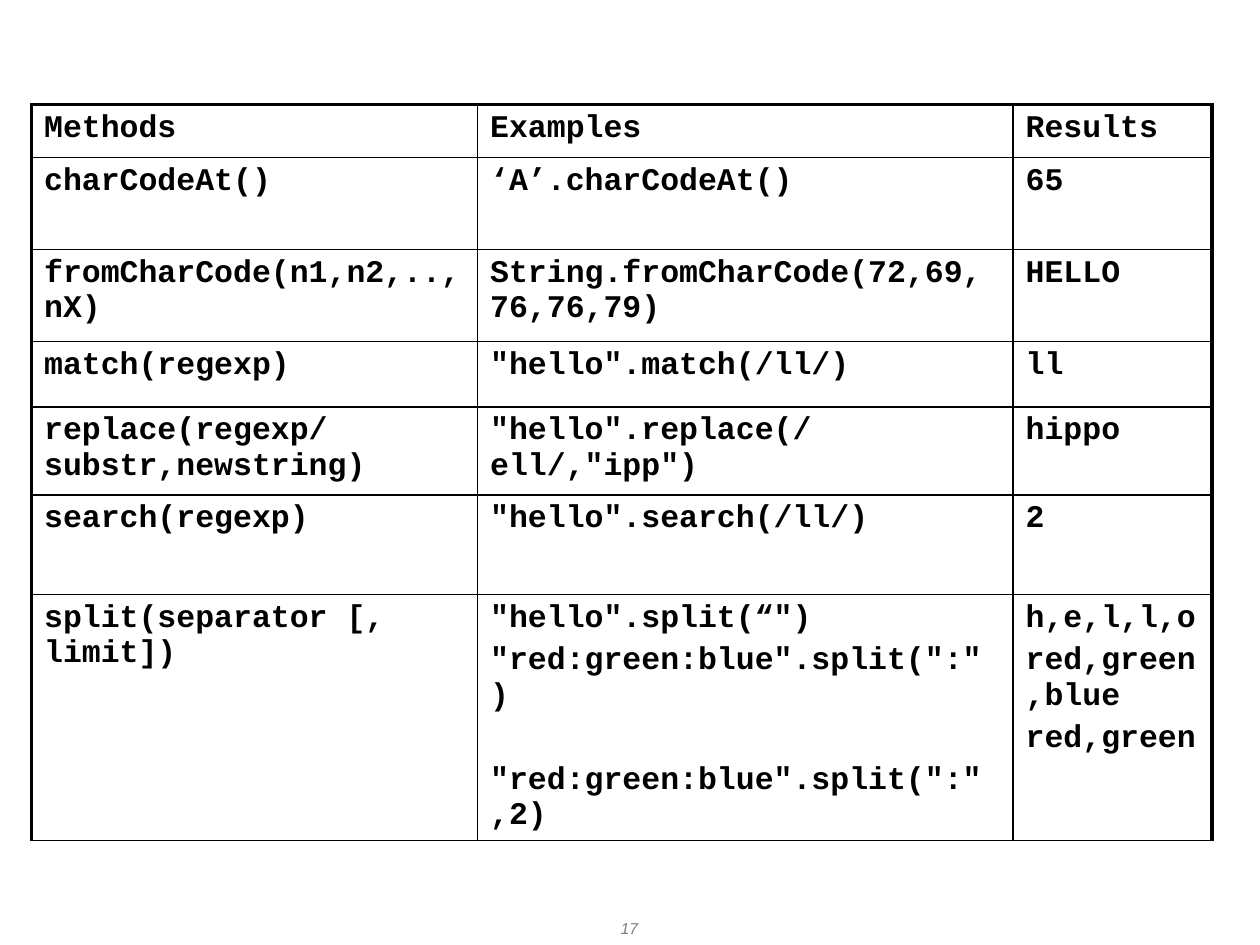
import lxml.etree
import pptx
import pptx.dml.color
import pptx.enum.text
import pptx.oxml.ns
import pptx.util

Pt = pptx.util.Pt
BLACK = pptx.dml.color.RGBColor(0x00, 0x00, 0x00)
GREY = pptx.dml.color.RGBColor(0x80, 0x80, 0x80)
THIN, THICK = Pt(1), Pt(2.25)
GAP = 3.6  # space above each paragraph
SKIP = 27.6  # space above a paragraph set one line lower

WIDTHS = [254.9, 306, 113.8]
HEIGHTS = [30.2, 52.6, 52.6, 37.4, 50.4, 56.9, 128.2]

# Each cell is a list of paragraphs: (text, space above).
ROWS = [
    [[("Methods", GAP)], [("Examples", GAP)], [("Results", GAP)]],
    [[("charCodeAt()", GAP)], [("‘A’.charCodeAt()", GAP)], [("65", GAP)]],
    [
        [("fromCharCode(n1,n2,.., nX)", GAP)],
        [("String.fromCharCode(72,69,76,76,79)", GAP)],
        [("HELLO", GAP)],
    ],
    [[("match(regexp)", GAP)], [('"hello".match(/ll/)', GAP)], [("ll", GAP)]],
    [
        [("replace(regexp/substr,newstring)", GAP)],
        [('"hello".replace(/ell/,"ipp")', GAP)],
        [("hippo", GAP)],
    ],
    [[("search(regexp)", GAP)], [('"hello".search(/ll/)', GAP)], [("2", GAP)]],
    [
        [("split(separator [, limit])", GAP)],
        [
            ('"hello".split(“")', GAP),
            ('"red:green:blue".split(":")', GAP),
            ('"red:green:blue".split(":",2)', SKIP),
        ],
        [("h,e,l,l,o", GAP), ("red,green,blue", GAP), ("red,green", GAP)],
    ],
]


def add_run(para, text, font, size, color):
    run = para.add_run()
    run.text = text
    run.font.name = font
    run.font.size = Pt(size)
    run.font.color.rgb = color
    return run


def set_edges(cell, edges):
    """Draw the cell borders; edges maps L, R, T, B, in that order, to widths."""
    props = cell._tc.get_or_add_tcPr()
    qn = pptx.oxml.ns.qn
    for spot, (side, width) in enumerate(edges.items()):
        line = lxml.etree.Element(qn(f"a:ln{side}"), w=str(int(width)))
        fill = lxml.etree.SubElement(line, qn("a:solidFill"))
        lxml.etree.SubElement(fill, qn("a:srgbClr"), val=str(BLACK))
        props.insert(spot, line)


def fill_cell(cell, paras):
    cell.fill.background()
    cell.margin_left = cell.margin_right = Pt(7.2)
    cell.margin_top = cell.margin_bottom = Pt(3.6)
    frame = cell.text_frame
    for i, (text, space) in enumerate(paras):
        para = frame.add_paragraph() if i else frame.paragraphs[0]
        para.space_before = Pt(space)
        add_run(para, text, "Courier New", 18, BLACK).font.bold = True


def add_grid(slide):
    frame = slide.shapes.add_table(
        len(ROWS), len(WIDTHS), Pt(18), Pt(59.8), Pt(sum(WIDTHS)), Pt(sum(HEIGHTS))
    )
    table = frame.table
    table.first_row = table.horz_banding = False
    for col, width in zip(table.columns, WIDTHS):
        col.width = Pt(width)
    for row, height in zip(table.rows, HEIGHTS):
        row.height = Pt(height)
    last = len(WIDTHS) - 1
    for r, cells in enumerate(ROWS):
        for c, paras in enumerate(cells):
            cell = table.cell(r, c)
            fill_cell(cell, paras)
            set_edges(cell, {
                "L": THICK if c == 0 else THIN,
                "R": THICK if c == last else THIN,
                "T": THICK if r == 0 else THIN,
                "B": THIN,
            })


def add_number(slide, text):
    box = slide.shapes.add_textbox(Pt(275.8), Pt(521.3), Pt(167.8), Pt(18.7))
    frame = box.text_frame
    frame.word_wrap = True
    frame.vertical_anchor = pptx.enum.text.MSO_ANCHOR.MIDDLE
    para = frame.paragraphs[0]
    para.alignment = pptx.enum.text.PP_ALIGN.CENTER
    add_run(para, text, "Arial", 9, GREY).font.italic = True


def main():
    deck = pptx.Presentation()
    deck.slide_width, deck.slide_height = Pt(720), Pt(540)
    slide = deck.slides.add_slide(deck.slide_layouts[6])
    add_grid(slide)
    add_number(slide, "17")
    deck.save("out.pptx")


if __name__ == "__main__":
    main()
